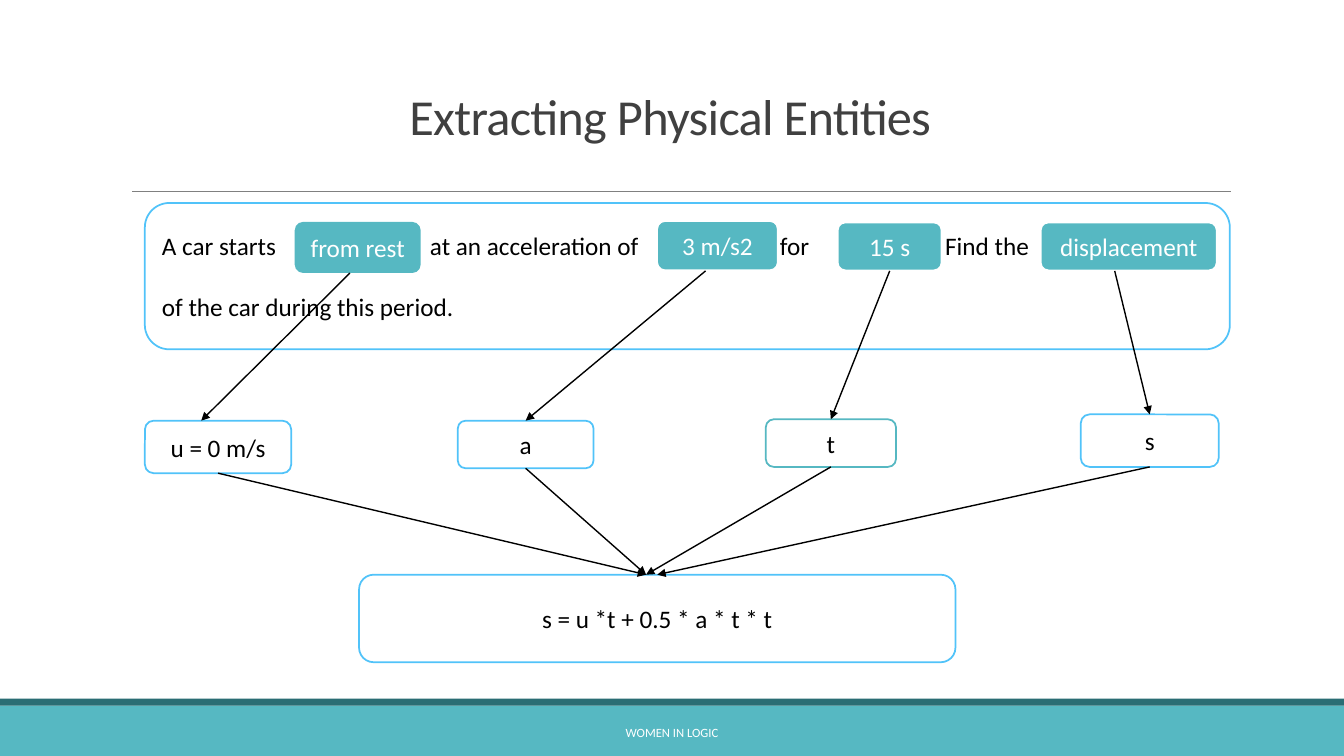
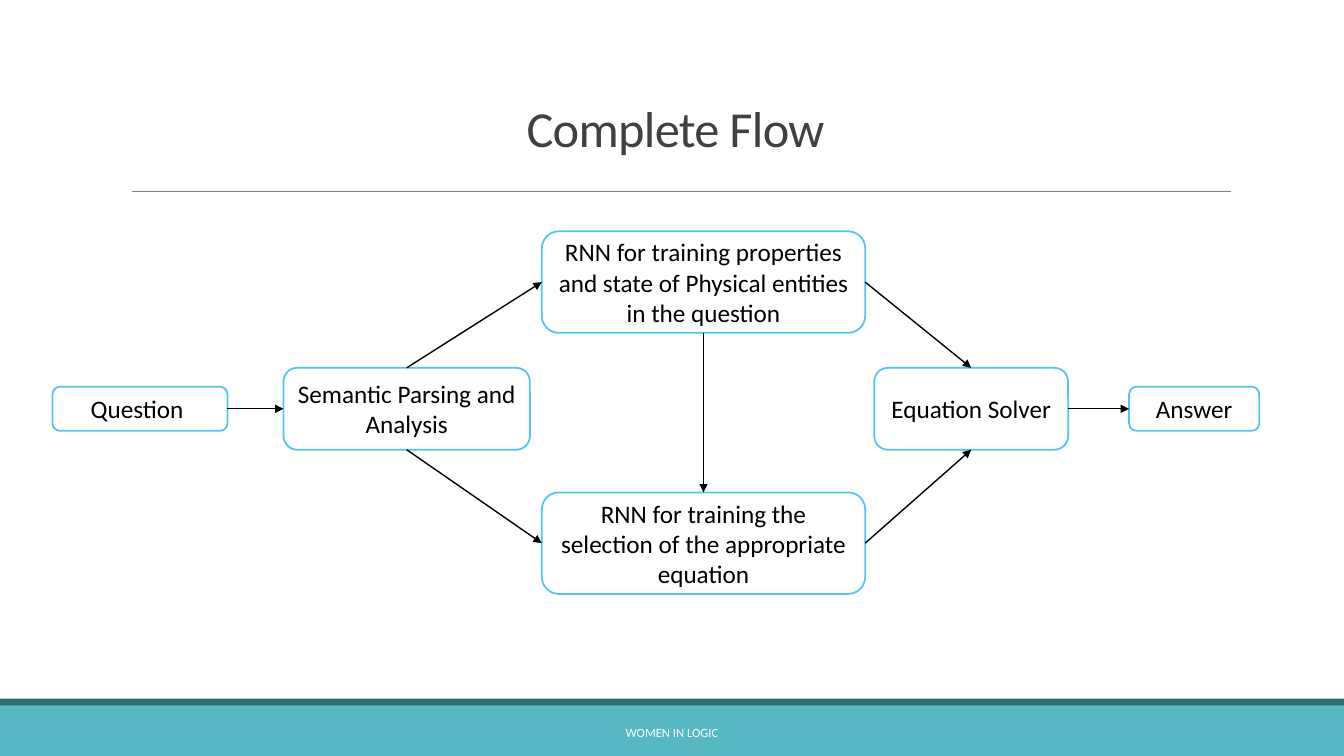
from lxml import etree
from pptx import Presentation
from pptx.dml.color import RGBColor
from pptx.enum.shapes import MSO_CONNECTOR, MSO_SHAPE
from pptx.enum.text import MSO_ANCHOR, MSO_AUTO_SIZE, PP_ALIGN
from pptx.oxml.ns import qn
from pptx.util import Pt

RECTANGLE, ROUNDED = MSO_SHAPE.RECTANGLE, MSO_SHAPE.ROUNDED_RECTANGLE
STRAIGHT = MSO_CONNECTOR.STRAIGHT
LEFT_ALIGN, CENTER = PP_ALIGN.LEFT, PP_ALIGN.CENTER
MIDDLE, BOTTOM_ANCHOR = MSO_ANCHOR.MIDDLE, MSO_ANCHOR.BOTTOM
TOP, LEFT, BOTTOM, RIGHT = range(4)
SITE_FRACTIONS = {TOP: (0.5, 0), LEFT: (0, 0.5), BOTTOM: (0.5, 1), RIGHT: (1, 0.5)}

WIDTH, HEIGHT = 960, 540
FONT = "Calibri"
WHITE, BLACK, GRAY, TITLE_GRAY = "FFFFFF", "000000", "808080", "404040"
TEAL, DARK_TEAL, SKY = "56B8C2", "2A6D74", "51C3F9"
FOOTER = "WOMEN IN LOGIC"


def color(hex_string):
    """Return the colour for a hex string."""
    return RGBColor.from_string(hex_string)


def style_text(paragraph, size, text_color, alignment=CENTER):
    """Set the font and alignment of a paragraph."""
    paragraph.alignment = alignment
    paragraph.font.name = FONT
    paragraph.font.size = Pt(size)
    paragraph.font.color.rgb = color(text_color)


def add_box(slide, box, text="", fill=WHITE, line=SKY, line_width=1.25,
            text_color=BLACK, alignment=CENTER, kind=ROUNDED):
    """Add a filled shape with text, one paragraph to a line."""
    shape = slide.shapes.add_shape(kind, *map(Pt, box))
    shape.shadow.inherit = False
    shape.fill.solid()
    shape.fill.fore_color.rgb = color(fill)
    if line:
        shape.line.color.rgb = color(line)
        shape.line.width = Pt(line_width)
    else:
        shape.line.fill.background()
    frame = shape.text_frame
    frame.word_wrap = True
    frame.vertical_anchor = MIDDLE
    frame.text = text
    for paragraph in frame.paragraphs:
        style_text(paragraph, 18, text_color, alignment)
    return shape


def add_line(slide, start, end, line_color, width):
    """Add a straight line between two points given as lengths."""
    connector = slide.shapes.add_connector(STRAIGHT, *start, *end)
    connector.line.color.rgb = color(line_color)
    connector.line.width = Pt(width)
    etree.SubElement(connector._element.spPr, qn("a:effectLst"))
    return connector


def site_point(shape, site, shift):
    """Return a connection site's position, moved sideways by shift."""
    across, down = SITE_FRACTIONS[site]
    return (int(shape.left + shape.width * across + Pt(shift)),
            int(shape.top + shape.height * down))


def add_arrow(slide, source, source_site, target, target_site,
              source_shift=0, target_shift=0):
    """Join two shapes with an arrow, glued wherever it is not shifted."""
    arrow = add_line(slide, site_point(source, source_site, source_shift),
                     site_point(target, target_site, target_shift), BLACK, 1)
    if not source_shift:
        arrow.begin_connect(source, source_site)
    if not target_shift:
        arrow.end_connect(target, target_site)
    etree.SubElement(arrow.line._get_or_add_ln(), qn("a:tailEnd"), type="triangle")


def add_title(slide, text, box):
    """Place and format the title placeholder."""
    title = slide.shapes.title
    title.left, title.top, title.width, title.height = map(Pt, box)
    frame = title.text_frame
    frame.text = text
    frame.word_wrap = True
    frame.auto_size = MSO_AUTO_SIZE.NONE
    frame.vertical_anchor = BOTTOM_ANCHOR
    paragraph = frame.paragraphs[0]
    style_text(paragraph, 36, TITLE_GRAY)
    paragraph.line_spacing = 0.85
    paragraph.runs[0]._r.get_or_add_rPr().set("spc", "-50")


def add_footer(slide, box):
    """Add the footer bands and the centred footer text."""
    left, top, width, height = box
    add_box(slide, (left, top + 5, width, height - 5), fill=TEAL, line=None, kind=RECTANGLE)
    add_box(slide, (left, top, width, 5), fill=DARK_TEAL, line=None, kind=RECTANGLE)
    text_width = 380
    footer = slide.shapes.add_textbox(
        Pt(left + (width - text_width) / 2), Pt(top + 9.5), Pt(text_width), Pt(28.8))
    frame = footer.text_frame
    frame.word_wrap = True
    frame.vertical_anchor = MIDDLE
    frame.text = FOOTER
    style_text(frame.paragraphs[0], 9, WHITE)


def add_titled_slide(presentation, title, title_box):
    """Add a slide with the shared title, rule and footer."""
    slide = presentation.slides.add_slide(presentation.slide_layouts[5])
    add_title(slide, title, title_box)
    add_line(slide, (Pt(94.5), Pt(136.5)), (Pt(879), Pt(136.5)), GRAY, 0.5)
    add_footer(slide, (0, 499, WIDTH, HEIGHT - 499))
    return slide


def add_question(slide, box):
    """Add the question box with its highlighted quantities."""
    left, top = box[:2]
    text = ("A car starts\tat an acceleration of\tfor\tFind the\n"
            "of the car during this period.")
    question = add_box(slide, box, text, alignment=LEFT_ALIGN)
    first, second = question.text_frame.paragraphs
    second.space_before = Pt(22)
    tabs = etree.SubElement(first._p.get_or_add_pPr(), qn("a:tabLst"))
    for position in (191.5, 441.5, 559.5):
        etree.SubElement(tabs, qn("a:tab"), pos=str(int(Pt(position))), algn="l")
    quantities = [("from rest", 107, 13.5, 90, 36.5, None),
                  ("3 m/s2", 365.5, 12.5, 87, 36, WHITE),
                  ("15 s", 494.5, 13.5, 75, 35, WHITE),
                  ("displacement", 639.5, 13.5, 126.5, 35, WHITE)]
    return [add_box(slide, (left + x, top + y, width, height), label, TEAL, line, 2, WHITE)
            for label, x, y, width, height, line in quantities]


def add_variables(slide, left, top):
    """Add the row of variable boxes."""
    variables = [("u = 0 m/s", 0, 4.5, 104.5, 37.5, SKY),
                 ("a", 223.5, 4.5, 97, 34, SKY),
                 ("t", 443.5, 3.5, 93, 34, TEAL),
                 ("s", 668.5, 0, 98.5, 37.5, SKY)]
    return [add_box(slide, (left + x, top + y, width, height), label, line=line)
            for label, x, y, width, height, line in variables]


def build_entities(presentation):
    """Build the slide that maps the question to an equation."""
    slide = add_titled_slide(presentation, "Extracting Physical Entities ",
                             (86.5, 22.5, 792, 85))
    quantities = add_question(slide, (103.5, 145, 775, 104.5))
    variables = add_variables(slide, 103.5, 296)
    equation = add_box(slide, (256.5, 410.5, 426, 62.5), "s = u *t + 0.5 * a * t * t")
    shifts = [(-5.5, -12, -8), (-8.5, 0, -8), (0, 0, -8), (-10, 0, 0)]
    for quantity, variable, (start, end, finish) in zip(quantities, variables, shifts):
        add_arrow(slide, quantity, BOTTOM, variable, TOP, start, end)
        add_arrow(slide, variable, BOTTOM, equation, TOP, target_shift=finish)


def add_flow(slide, left, middle):
    """Add the flow chart, centred on its middle line."""
    def add_step(text, x, width, height, offset=0):
        """Add one step of the flow."""
        box = (left + x, middle + offset - height / 2, width, height)
        return add_box(slide, box, text)

    question = add_step("Question ", 0, 125, 31.5)
    parsing = add_step("Semantic Parsing and Analysis", 165, 176, 58.5)
    properties = add_step("RNN for training properties and state of Physical entities "
                          "in the question", 349.5, 231, 72.5, -90.5)
    selection = add_step("RNN for training the selection of the appropriate equation",
                         349.5, 231, 72.5, 96)
    solver = add_step("Equation Solver", 587, 138.5, 58.5)
    answer = add_step("Answer", 769, 93, 31.5)
    for ends in [(question, RIGHT, parsing, LEFT),
                 (parsing, TOP, properties, LEFT),
                 (parsing, BOTTOM, selection, LEFT),
                 (properties, BOTTOM, selection, TOP),
                 (properties, RIGHT, solver, TOP),
                 (selection, RIGHT, solver, BOTTOM),
                 (solver, RIGHT, answer, LEFT)]:
        add_arrow(slide, *ends)


def build_flow(presentation):
    """Build the slide that shows the complete flow."""
    slide = add_titled_slide(presentation, "Complete Flow", (86.5, 49, 792, 67))
    add_flow(slide, 37.5, 292)


def main():
    """Build and save the presentation."""
    presentation = Presentation()
    presentation.slide_width, presentation.slide_height = Pt(WIDTH), Pt(HEIGHT)
    build_entities(presentation)
    build_flow(presentation)
    presentation.save("out.pptx")


if __name__ == "__main__":
    main()
